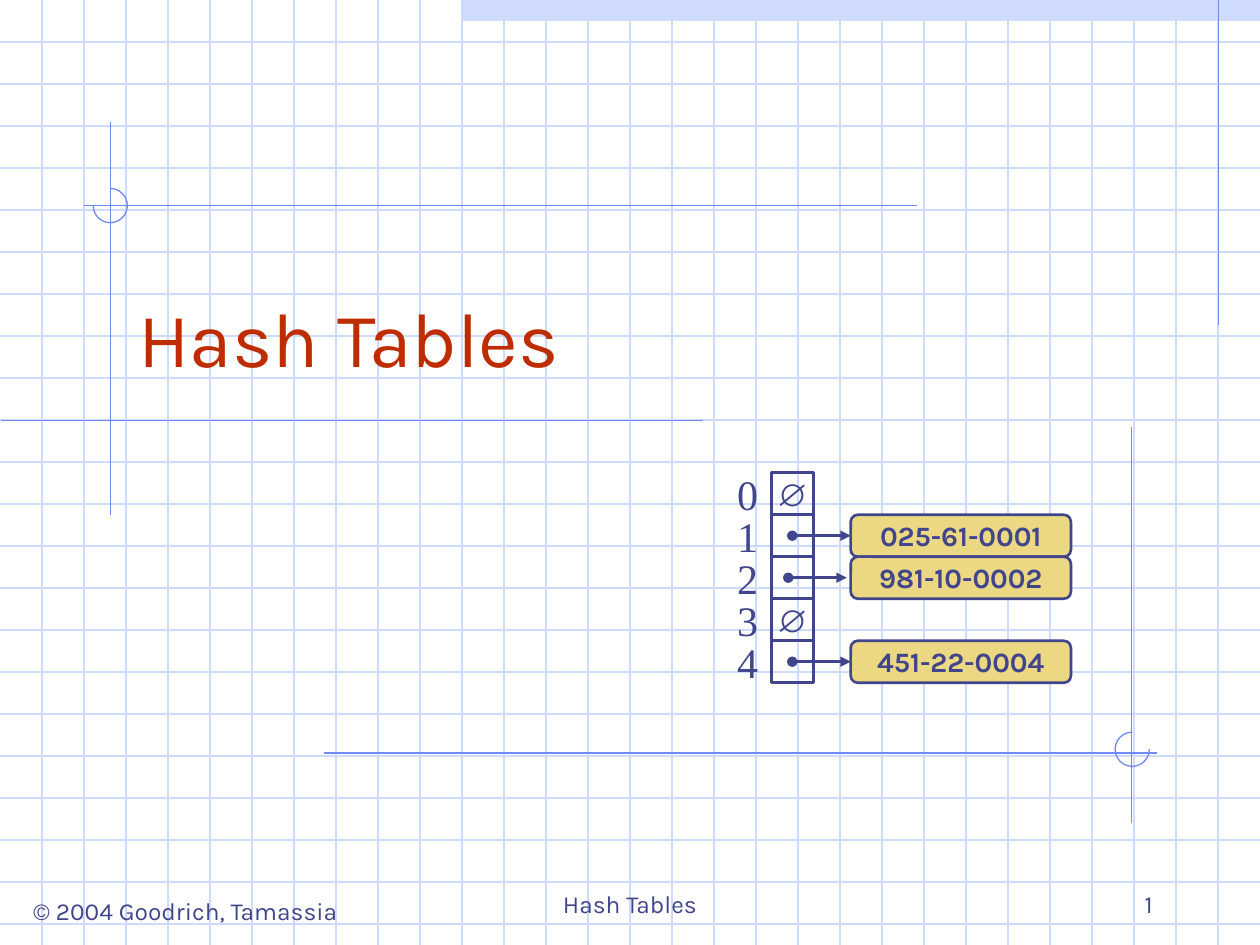
from pptx import Presentation
from pptx.dml.color import RGBColor
from pptx.enum.shapes import MSO_CONNECTOR as Connector, MSO_SHAPE as Shape
from pptx.enum.text import MSO_ANCHOR as Anchor, PP_ALIGN as Align
from pptx.oxml.ns import qn
from pptx.util import Cm, Pt
from lxml.etree import SubElement

WIDTH, HEIGHT = 25.4, 19.05
GRID = WIDTH / 30
PALE, BLUE, NAVY = "CFDBFD", "6F89F7", "40458C"
RED, SAND = "BE2D00", "ECD882"
LEFT_SIDE = 1


def color(value):
    return RGBColor.from_string(value)


def write(shape, text, size, font="Karla", tint=NAVY, align=Align.CENTER,
          anchor=Anchor.MIDDLE, bold=False, wrap=True):
    frame = shape.text_frame
    frame.word_wrap = wrap
    frame.vertical_anchor = anchor
    paragraph = frame.paragraphs[0]
    paragraph.alignment = align
    run = paragraph.add_run()
    run.text = text
    run.font.size = Pt(size)
    run.font.name = font
    run.font.bold = bold
    run.font.color.rgb = color(tint)


def add_text(slide, box, text, size, **style):
    write(slide.shapes.add_textbox(*map(Cm, box)), text, size, **style)


def add_shape(slide, kind, box, fill=None, line=None, weight=1.5):
    shape = slide.shapes.add_shape(kind, *map(Cm, box))
    shape.shadow.inherit = False
    if fill:
        shape.fill.solid()
        shape.fill.fore_color.rgb = color(fill)
    else:
        shape.fill.background()
    if line:
        shape.line.color.rgb = color(line)
        shape.line.width = Pt(weight)
    else:
        shape.line.fill.background()
    return shape


def add_line(slide, x1, y1, x2, y2, tint, weight=0.75):
    line = slide.shapes.add_connector(Connector.STRAIGHT, *map(Cm, (x1, y1, x2, y2)))
    line.line.color.rgb = color(tint)
    line.line.width = Pt(weight)
    SubElement(line._element.spPr, qn("a:effectLst"))
    return line


def add_pointer(slide, x1, x2, y):
    """Arrow with a dot at its start."""
    pointer = add_line(slide, x1, y, x2, y, NAVY, 1.5)
    outline = pointer.line._get_or_add_ln()
    SubElement(outline, qn("a:headEnd"), type="oval")
    SubElement(outline, qn("a:tailEnd"), type="triangle")
    return pointer


def add_arc(slide, box, start, end):
    """Arc running clockwise between two angles in degrees."""
    arc = add_shape(slide, Shape.ARC, box, line=BLUE, weight=0.75)
    # Angles are stored in 60000ths of a degree, adjustments in 100000ths
    arc.adjustments[0] = start * 0.6
    arc.adjustments[1] = end * 0.6


def draw_graph_paper(slide, box):
    left, top, width, height = box
    right, bottom = left + width, top + height
    # Band along the top edge
    add_shape(slide, Shape.RECTANGLE,
              (left + 11 * GRID, top, width - 11 * GRID, GRID / 2), fill=PALE)
    # Evenly spaced grid
    for row in range(1, int(height / GRID) + 1):
        add_line(slide, left, top + row * GRID, right, top + row * GRID, PALE)
    for column in range(1, round(width / GRID)):
        add_line(slide, left + column * GRID, top, left + column * GRID, bottom, PALE)
    # Drafting lines
    for x1, y1, x2, y2 in [
        (24.56, 0, 24.56, 6.55),
        (2.23, 2.46, 2.23, 10.39),
        (14.17, 8.48, 0.03, 8.48),
        (18.49, 4.14, 1.7, 4.14),
        (6.53, 15.18, 23.32, 15.18),
        (22.81, 8.61, 22.81, 16.59),
    ]:
        add_line(slide, left + x1, top + y1, left + x2, top + y2, BLUE)
    # Three-quarter circles at the crossings
    add_arc(slide, (left + 1.88, top + 3.8, 0.69, 0.69), 270, 180)
    add_arc(slide, (left + 22.48, top + 14.76, 0.69, 0.69), 0, 270)


def draw_hash_table(slide, box, buckets):
    """Buckets hold a key and the shift of its pointer, or None."""
    left, top, width, height = box
    step = height / len(buckets)
    cell_left, record_left = left + 0.94, left + 2.54
    for index, bucket in enumerate(buckets):
        y = top + index * step
        middle = y + step / 2
        # Index and cell
        add_text(slide, (left, y - 0.21, 0.91, 1.27), str(index), 24,
                 font="Times New Roman", anchor=Anchor.TOP, wrap=False)
        cell = add_shape(slide, Shape.RECTANGLE, (cell_left, y, step, step), line=NAVY)
        if bucket is None:
            write(cell, "∅", 18, font="Arial", wrap=False)
            continue
        # Record and the pointer to it
        key, shift = bucket
        record = add_shape(slide, Shape.ROUNDED_RECTANGLE,
                           (record_left, y, left + width - record_left, step),
                           SAND, NAVY)
        record.adjustments[0] = 0.17
        write(record, key, 16, bold=True, wrap=False)
        pointer = add_pointer(slide, left + 1.36 + shift, record_left + shift, middle)
        if shift == 0:
            pointer.end_connect(record, LEFT_SIDE)


def draw_footer(slide, box):
    left, top, width, height = box
    add_text(slide, (left + 0.3, top + 0.58, 6.88, 0.86),
             "© 2004 Goodrich, Tamassia", 14, anchor=Anchor.TOP, wrap=False)
    add_text(slide, (left + 8.68, top, 8.04, height), "Hash Tables", 14,
             anchor=Anchor.BOTTOM)
    add_text(slide, (left + 18.2, top, 5.29, height), "1", 14,
             align=Align.RIGHT, anchor=Anchor.BOTTOM)


def main():
    presentation = Presentation()
    presentation.slide_width, presentation.slide_height = Cm(WIDTH), Cm(HEIGHT)
    slide = presentation.slides.add_slide(presentation.slide_layouts[6])

    draw_graph_paper(slide, (0, 0, WIDTH, HEIGHT))
    add_text(slide, (2.54, 4.66, 21.59, 3.18), "Hash Tables", 44, tint=RED,
             align=Align.LEFT, anchor=Anchor.BOTTOM)
    draw_hash_table(slide, (14.61, 9.53, 6.98, 5 * GRID), [
        None,
        ("025-61-0001", 0),
        ("981-10-0002", -0.08),
        None,
        ("451-22-0004", 0),
    ])
    draw_footer(slide, (0, 17.36, WIDTH, 1.27))

    presentation.save("out.pptx")


if __name__ == "__main__":
    main()
